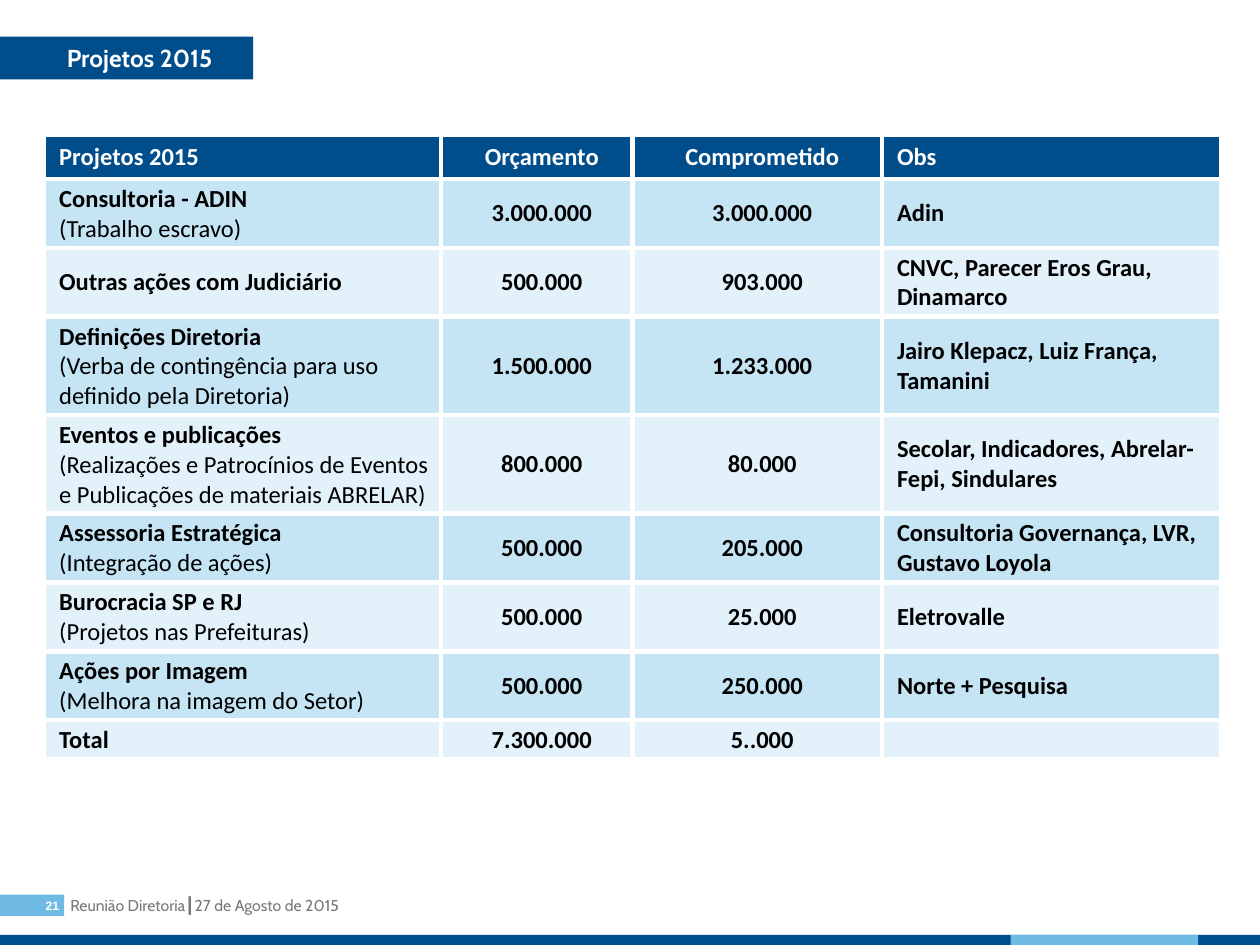
from lxml.etree import SubElement
from pptx import Presentation
from pptx.dml.color import RGBColor
from pptx.enum.shapes import MSO_SHAPE
from pptx.enum.text import MSO_ANCHOR, MSO_AUTO_SIZE, PP_ALIGN
from pptx.oxml.ns import qn
from pptx.util import Inches, Pt

NAVY, SKY, WHITE, BLACK, GREY = "004D8C", "6FBBE4", "FFFFFF", "000000", "797979"
BAND_DARK, BAND_LIGHT = "C5E4F4", "E2F1FA"

COLUMN_WIDTHS = [3.15, 1.52, 1.98, 2.69]
COLUMN_ALIGNS = [PP_ALIGN.LEFT, PP_ALIGN.CENTER, PP_ALIGN.CENTER, PP_ALIGN.LEFT]
ROW_HEIGHTS = [0.35, 0.54, 0.54, 0.78, 0.78, 0.54, 0.54, 0.54, 0.3]
# Project cells hold a bold name, then an optional plain detail after a line break.
PROJECTS = [
    ("Projetos 2015", "Orçamento", "Comprometido", "Obs"),
    ("Consultoria - ADIN\n(Trabalho escravo)", "3.000.000", "3.000.000", "Adin"),
    ("Outras ações com Judiciário", "500.000", "903.000",
     "CNVC, Parecer Eros Grau, Dinamarco"),
    ("Definições Diretoria\n(Verba de contingência para uso\ndefinido pela Diretoria)",
     "1.500.000", "1.233.000", "Jairo Klepacz, Luiz França, Tamanini"),
    ("Eventos e publicações\n"
     "(Realizações e Patrocínios de Eventos e Publicações de materiais ABRELAR)",
     "800.000", "80.000", "Secolar, Indicadores, Abrelar-Fepi, Sindulares"),
    ("Assessoria Estratégica\n(Integração de ações)", "500.000", "205.000",
     "Consultoria Governança, LVR, Gustavo Loyola"),
    ("Burocracia SP e RJ\n(Projetos nas Prefeituras)", "500.000", "25.000",
     "Eletrovalle"),
    ("Ações por Imagem\n(Melhora na imagem do Setor)", "500.000", "250.000",
     "Norte + Pesquisa"),
    ("Total", "7.300.000", "5..000", ""),
]


def rgb(hex_code):
    return RGBColor.from_string(hex_code)


def fill_with(target, hex_code):
    target.fill.solid()
    target.fill.fore_color.rgb = rgb(hex_code)


def set_attributes(target, values):
    for name, value in values.items():
        setattr(target, name, value)


def margins(left, top, right, bottom):
    return {"margin_left": Inches(left), "margin_top": Inches(top),
            "margin_right": Inches(right), "margin_bottom": Inches(bottom)}


def add_run(paragraph, text, font_name, size, hex_code, bold=False):
    run = paragraph.add_run()
    run.text = text
    set_attributes(run.font, {"name": font_name, "size": Pt(size), "bold": bold})
    run.font.color.rgb = rgb(hex_code)


def add_bar(slide, left, top, width, height, hex_code):
    bar = slide.shapes.add_shape(MSO_SHAPE.RECTANGLE, Inches(left), Inches(top),
                                 Inches(width), Inches(height))
    bar.shadow.inherit = False
    fill_with(bar, hex_code)
    bar.line.fill.background()
    return bar


def add_heading(slide, left, top, width, height):
    heading = slide.shapes.title
    set_attributes(heading, {"left": Inches(left), "top": Inches(top),
                             "width": Inches(width), "height": Inches(height)})
    fill_with(heading, NAVY)
    set_attributes(heading.text_frame, {
        **margins(0.53, 0.05, 0.04, 0.05), "word_wrap": True,
        "auto_size": MSO_AUTO_SIZE.NONE, "vertical_anchor": MSO_ANCHOR.TOP})
    paragraph = heading.text_frame.paragraphs[0]
    paragraph.alignment = PP_ALIGN.LEFT
    add_run(paragraph, "Projetos 2015", "Cabin", 14, WHITE, True)


def border_cell(cell, hex_code, points):
    properties = cell._tc.get_or_add_tcPr()
    for position, side in enumerate(("a:lnL", "a:lnR", "a:lnT", "a:lnB")):
        line = properties.makeelement(qn(side), {"w": str(Pt(points))})
        properties.insert(position, line)
        SubElement(SubElement(line, qn("a:solidFill")), qn("a:srgbClr"), val=hex_code)


def write_cell(cell, text, alignment, text_color):
    set_attributes(cell, {**margins(0.12, 0.04, 0.04, 0.04),
                          "vertical_anchor": MSO_ANCHOR.MIDDLE})
    paragraph = cell.text_frame.paragraphs[0]
    paragraph.alignment = alignment
    paragraph.font.size = Pt(14)
    for number, line in enumerate(text.split("\n") if text else []):
        if number:
            paragraph.add_line_break()
        add_run(paragraph, line, "Calibri", 14, text_color, number == 0)


def add_budget_table(slide, left, top):
    table = slide.shapes.add_table(
        len(PROJECTS), len(COLUMN_WIDTHS), Inches(left), Inches(top),
        Inches(sum(COLUMN_WIDTHS)), Inches(sum(ROW_HEIGHTS))).table
    table.horz_banding = False
    for column, width in zip(table.columns, COLUMN_WIDTHS):
        column.width = Inches(width)
    for number, (row, height, texts) in enumerate(zip(table.rows, ROW_HEIGHTS, PROJECTS)):
        row.height = Inches(height)
        band = NAVY if number == 0 else BAND_DARK if number % 2 else BAND_LIGHT
        for cell, text, alignment in zip(row.cells, texts, COLUMN_ALIGNS):
            write_cell(cell, text, alignment, BLACK if number else WHITE)
            fill_with(cell, band)
            border_cell(cell, WHITE, 3)


def add_footer(slide, top, width):
    """Meeting label, page number and the two-tone strip at the bottom edge."""
    meeting = slide.shapes.add_textbox(Inches(0.46), Inches(top), Inches(7.3), Inches(0.25))
    meeting.text_frame.word_wrap = True
    add_run(meeting.text_frame.paragraphs[0], "Reunião Diretoria┃27 de Agosto de 2015",
            "Cabin", 9, GREY)

    page = add_bar(slide, 0, top + 0.04, 0.51, 0.17, SKY).text_frame
    set_attributes(page, {**margins(0, 0, 0.04, 0), "vertical_anchor": MSO_ANCHOR.MIDDLE})
    page.paragraphs[0].alignment = PP_ALIGN.RIGHT
    add_run(page.paragraphs[0], "21", "Arial", 7, WHITE, True)

    add_bar(slide, 0, top + 0.36, width, 0.08, NAVY)
    add_bar(slide, 8.02, top + 0.36, 1.49, 0.08, SKY)


def main():
    deck = Presentation()
    set_attributes(deck, {"slide_width": Inches(10), "slide_height": Inches(7.5)})
    slide = deck.slides.add_slide(deck.slide_layouts[5])
    add_footer(slide, 7.06, 10)
    add_heading(slide, 0, 0.29, 2.01, 0.34)
    add_budget_table(slide, 0.35, 1.07)
    deck.save("out.pptx")


if __name__ == "__main__":
    main()
